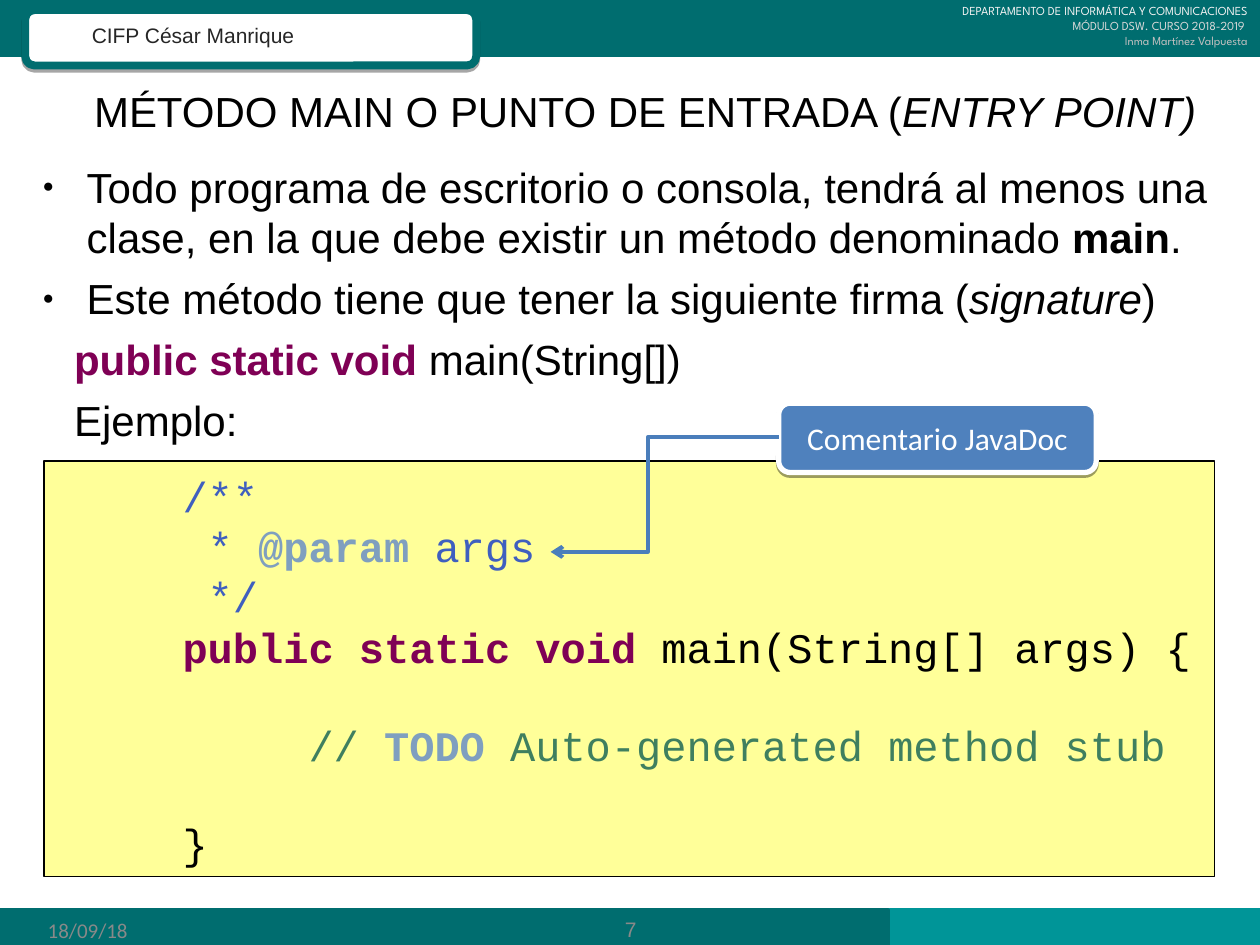
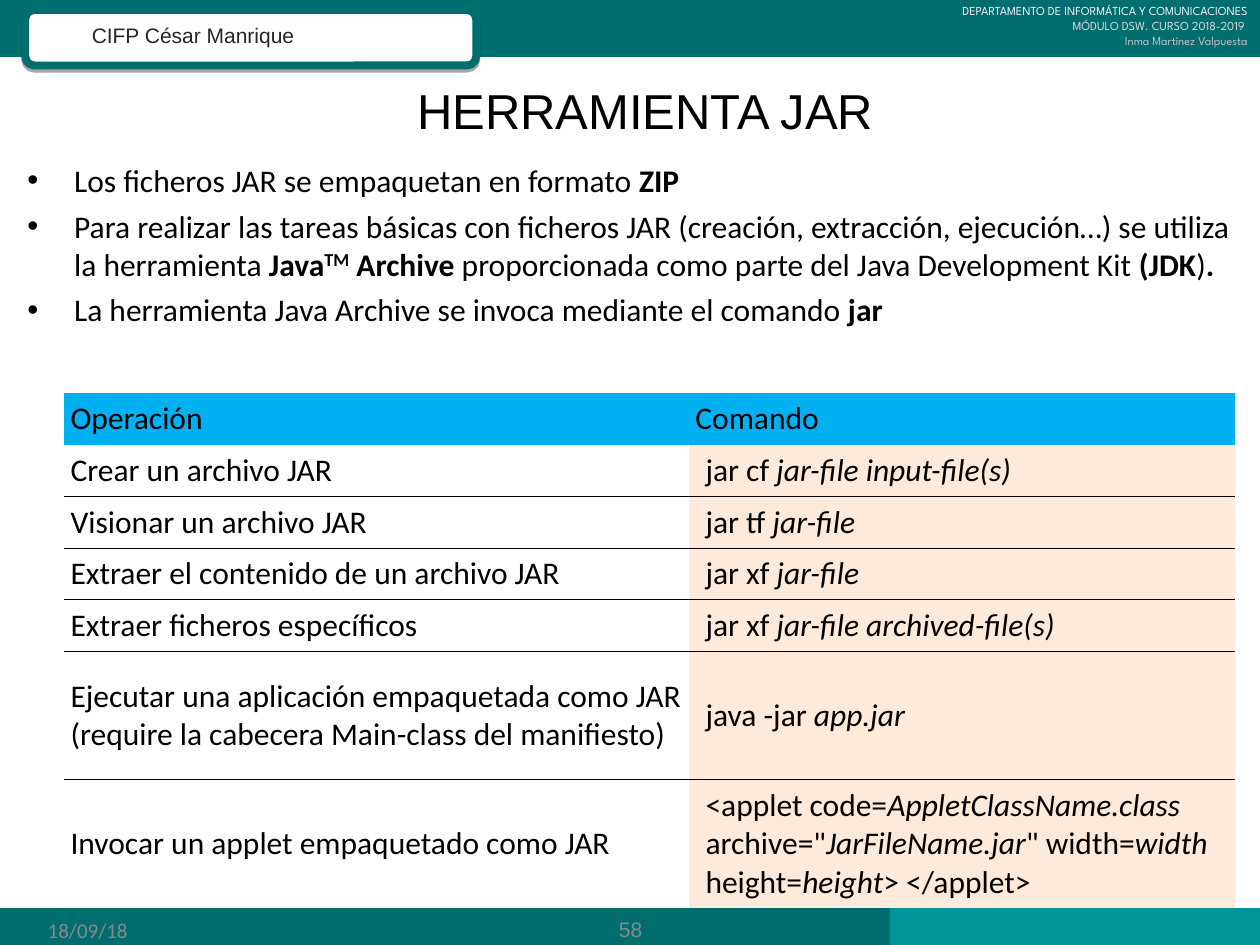
from pptx import Presentation
from pptx.dml.color import RGBColor
from pptx.enum.shapes import MSO_CONNECTOR, MSO_SHAPE
from pptx.enum.text import MSO_ANCHOR, PP_ALIGN
from pptx.oxml import parse_xml
from pptx.oxml.ns import nsdecls, qn
from pptx.util import Inches, Pt

WHITE = RGBColor(0xFF, 0xFF, 0xFF)
BLACK = RGBColor(0x00, 0x00, 0x00)
DARK_TEAL = RGBColor(0x00, 0x6D, 0x6F)
LIGHT_TEAL = RGBColor(0x00, 0x95, 0x98)
CHARCOAL = RGBColor(0x26, 0x26, 0x26)
HEADER_GRAYS = [RGBColor(0xF2, 0xF2, 0xF2), RGBColor(0xD9, 0xD9, 0xD9), RGBColor(0xBF, 0xBF, 0xBF)]
FOOTER_GRAY = RGBColor(0x89, 0x89, 0x89)
CODE_YELLOW = RGBColor(0xFF, 0xFF, 0x00)
KEYWORD = RGBColor(0x7F, 0x00, 0x55)
JAVADOC = RGBColor(0x3F, 0x5F, 0xBF)
TAG = RGBColor(0x7F, 0x9F, 0xBF)
COMMENT = RGBColor(0x3F, 0x7F, 0x5F)
CALLOUT_BLUE = RGBColor(0x4F, 0x81, 0xBD)
ARROW_BLUE = RGBColor(0x4A, 0x7E, 0xBB)
TABLE_BLUE = RGBColor(0x00, 0xB0, 0xF0)
PEACH = RGBColor(0xFD, 0xEA, 0xDA)
NO_STYLE = "{2D5ABB26-0587-4C30-8999-92F81FD0307C}"


def write(frame, lines, font, size, color=BLACK, align=PP_ALIGN.LEFT, anchor=MSO_ANCHOR.TOP):
    frame.word_wrap = True
    frame.vertical_anchor = anchor
    for index, line in enumerate(lines):
        paragraph = frame.paragraphs[0] if index == 0 else frame.add_paragraph()
        paragraph.alignment = align
        for text, style, run_color in line:
            run = paragraph.add_run()
            run.text = text
            run.font.name = font
            run.font.size = Pt(size)
            run.font.bold = "b" in style
            run.font.italic = "i" in style
            run.font.color.rgb = run_color or color
            if "^" in style:
                run.font._element.set("baseline", "30000")
    return frame.paragraphs


def add_panel(slide, kind, place, fill, line, width, shadow=None):
    shape = slide.shapes.add_shape(kind, *map(Inches, place))
    shape.shadow.inherit = False
    shape.fill.solid()
    shape.fill.fore_color.rgb = fill
    shape.line.color.rgb = line
    shape.line.width = Pt(width)
    if shadow:
        distance, opacity = shadow
        shape._element.spPr.find(qn("a:effectLst")).append(parse_xml(
            f'<a:outerShdw {nsdecls("a")} blurRad="0" dist="{Pt(distance)}" dir="5400000" rotWithShape="0">'
            f'<a:srgbClr val="000000"><a:alpha val="{opacity * 1000}"/></a:srgbClr></a:outerShdw>'))
    return shape


presentation = Presentation()
presentation.slide_width = Inches(10)
presentation.slide_height = Inches(7.5)

headings = [
    ([("MÉTODO MAIN O PUNTO DE ENTRADA (", "", None), ("ENTRY POINT)", "i", None)], 24, "7"),
    ([("HERRAMIENTA JAR", "", None)], 28, "58"),
]
department = ["DEPARTAMENTO DE INFORMÁTICA Y COMUNICACIONES", "MÓDULO DSW. CURSO 2018-2019 ",
              "Inma Martínez Valpuesta"]
bands = [((7.05, 7.22, 2.95, 0.28), LIGHT_TEAL), ((0, 7.22, 7.05, 0.28), DARK_TEAL),
         ((0, 0, 10, 0.44), DARK_TEAL)]

slides = []
for title, title_size, number in headings:
    slide = presentation.slides.add_slide(presentation.slide_layouts[6])
    slides.append(slide)
    for place, color in bands:
        add_panel(slide, MSO_SHAPE.RECTANGLE, place, color, color, 2)
    add_panel(slide, MSO_SHAPE.ROUNDED_RECTANGLE, (0.2, 0.08, 3.58, 0.44), WHITE, DARK_TEAL, 4.5, (1.8, 35))

    texts = [
        ((0.43, 0.13, 2.91, 0.3), [[("CIFP César Manrique", "", None)]], "Arial", 12, CHARCOAL,
         PP_ALIGN.LEFT, MSO_ANCHOR.TOP, 0.2),
        ((6.14, -0.02, 3.86, 0.45), [[(text, "", gray)] for text, gray in zip(department, HEADER_GRAYS)],
         "League Spartan", 7, WHITE, PP_ALIGN.RIGHT, MSO_ANCHOR.TOP, 0),
        ((0.12, 0.6, 9.76, 0.55), [title], "Arial", title_size, BLACK, PP_ALIGN.CENTER, MSO_ANCHOR.MIDDLE, 0.24),
        ((0.28, 7.24, 2.01, 0.29), [[("18/09/18", "", None)]], "Calibri", 12, FOOTER_GRAY,
         PP_ALIGN.LEFT, MSO_ANCHOR.MIDDLE, 0),
        ((3.42, 7.22, 3.17, 0.31), [[(number, "", None)]], "Arial", 12, FOOTER_GRAY,
         PP_ALIGN.CENTER, MSO_ANCHOR.MIDDLE, 0),
    ]
    for place, lines, font, size, color, align, anchor, left in texts:
        box = slide.shapes.add_textbox(*map(Inches, place))
        for paragraph in write(box.text_frame, lines, font, size, color, align, anchor):
            paragraph._p.get_or_add_pPr().set("marL", str(Inches(left)))

main_slide, jar_slide = slides

main_lines = [
    [("Todo programa de escritorio o consola, tendrá al menos una clase, en la que debe existir "
      "un método denominado ", "", None), ("main", "b", None), (".", "", None)],
    [("Este método tiene que tener la siguiente firma (", "", None), ("signature", "i", None), (")", "", None)],
    [("public static void", "b", KEYWORD), (" main(String[])", "", None)],
    [("Ejemplo:", "", None)],
]
jar_lines = [
    [("Los ficheros JAR se empaquetan en formato ", "", None), ("ZIP", "b", None)],
    [("Para realizar las tareas básicas con ficheros JAR (creación, extracción, ejecución…) "
      "se utiliza la herramienta ", "", None), ("Java", "b", None), ("TM", "b^", None),
     (" Archive", "b", None), (" proporcionada como parte del Java Development Kit ", "", None),
     ("(JDK", "b", None), (")", "", None), (".", "b", None)],
    [("La herramienta Java Archive se invoca mediante el comando ", "", None), ("jar", "b", None)],
]
bodies = [
    (main_slide, main_lines, "Arial", 24, 6, 2, "●", 45, 0.47, -0.35),
    (jar_slide, jar_lines, "Calibri", 18, 4.5, 3, "•", 100, 0.37, -0.37),
]
for slide, lines, font, size, before, bulleted, bullet, bullet_size, left, hanging in bodies:
    box = slide.shapes.add_textbox(Inches(0.12), Inches(1.23), Inches(9.76), Inches(5.83))
    for index, paragraph in enumerate(write(box.text_frame, lines, font, size)):
        paragraph.space_before = Pt(before)
        properties = paragraph._p.get_or_add_pPr()
        if index >= bulleted:
            properties.set("marL", str(Inches(0.37)))
            continue
        properties.set("marL", str(Inches(left)))
        properties.set("indent", str(Inches(hanging)))
        for tag in [f'<a:buClr {nsdecls("a")}><a:srgbClr val="000000"/></a:buClr>',
                    f'<a:buSzPct {nsdecls("a")} val="{bullet_size * 1000}"/>',
                    f'<a:buFont {nsdecls("a")} typeface="Arial"/>',
                    f'<a:buChar {nsdecls("a")} char="{bullet}"/>']:
            properties.append(parse_xml(tag))

code_lines = [
    (1, 0, [("/**", "", JAVADOC)]),
    (1, 0, [(" * ", "", JAVADOC), ("@param", "b", TAG), (" args", "", JAVADOC)]),
    (1, 0, [(" */", "", JAVADOC)]),
    (1, 0, [("public static void", "b", KEYWORD), (" main(String[] args) {", "", None)]),
    (2, 27.2, [("// ", "", COMMENT), ("TODO", "b", TAG), (" Auto-generated method stub", "", COMMENT)]),
    (1, 27.2, [("}", "", None)]),
]
code_panel = add_panel(main_slide, MSO_SHAPE.RECTANGLE, (0.35, 3.66, 9.29, 3.3), CODE_YELLOW, BLACK, 0.75)
fill_color = code_panel._element.spPr.find(qn("a:solidFill")).find(qn("a:srgbClr"))
fill_color.append(parse_xml(f'<a:alpha {nsdecls("a")} val="40000"/>'))
code_paragraphs = write(code_panel.text_frame, [line for _, _, line in code_lines], "Courier New", 24,
                        anchor=MSO_ANCHOR.MIDDLE)
for paragraph, (left, before, _) in zip(code_paragraphs, code_lines):
    paragraph.space_before = Pt(before)
    paragraph._p.get_or_add_pPr().set("marL", str(Inches(left)))

callout = add_panel(main_slide, MSO_SHAPE.ROUNDED_RECTANGLE, (6.18, 3.2, 2.52, 0.55), CALLOUT_BLUE, WHITE, 3,
                    (1.6, 38))
write(callout.text_frame, [[("Comentario JavaDoc", "", None)]], "Calibri", 18, WHITE,
      PP_ALIGN.CENTER, MSO_ANCHOR.MIDDLE)

arrow = main_slide.shapes.add_connector(MSO_CONNECTOR.ELBOW, Inches(6.18), Inches(3.47), Inches(4.37), Inches(4.38))
arrow.line.color.rgb = ARROW_BLUE
arrow.line.width = Pt(2.25)
arrow_properties = arrow._element.spPr
arrow_properties.find(qn("a:ln")).append(parse_xml(f'<a:tailEnd {nsdecls("a")} type="arrow"/>'))
arrow_properties.append(parse_xml(f'<a:effectLst {nsdecls("a")}/>'))
arrow_properties.find(qn("a:prstGeom")).find(qn("a:avLst")).append(
    parse_xml(f'<a:gd {nsdecls("a")} name="adj1" fmla="val 57400"/>'))

operations = [
    (["Operación"], [("Comando", "", None)]),
    (["Crear un archivo JAR"], [("jar cf ", "", None), ("jar-file input-file(s)", "i", None)]),
    (["Visionar un archivo JAR"], [("jar tf ", "", None), ("jar-file", "i", None)]),
    (["Extraer el contenido de un archivo JAR"], [("jar xf ", "", None), ("jar-file", "i", None)]),
    (["Extraer ficheros específicos"], [("jar xf ", "", None), ("jar-file archived-file(s)", "i", None)]),
    (["Ejecutar una aplicación empaquetada como JAR", "(require la cabecera Main-class del manifiesto)"],
     [("java -jar ", "", None), ("app.jar", "i", None)]),
    (["Invocar un applet empaquetado como JAR"],
     [("<applet code=", "", None), ("AppletClassName.class", "i", None), (' archive="', "", None),
      ("JarFileName.jar", "i", None), ('" width=', "", None), ("width", "i", None),
      (" height=", "", None), ("height", "i", None), ("> </applet>", "", None)]),
]
last_row = len(operations) - 1
table_frame = jar_slide.shapes.add_table(len(operations), 2, Inches(0.51), Inches(3.12), Inches(9.29), Inches(4.09))
table = table_frame.table
table.first_row = False
table.horz_banding = False
table._tbl.tblPr.find(qn("a:tableStyleId")).text = NO_STYLE
for column, width in zip(table.columns, (4.96, 4.33)):
    column.width = Inches(width)

for row, (operation, command) in enumerate(operations):
    table.rows[row].height = Inches(0.41 if row < 5 else 1.02)
    for column, lines in enumerate([[[(text, "", None)] for text in operation], [command]]):
        cell = table.cell(row, column)
        cell.margin_left = cell.margin_right = cell.margin_top = cell.margin_bottom = Inches(0.05)
        cell.vertical_anchor = MSO_ANCHOR.MIDDLE
        paragraphs = write(cell.text_frame, lines, "Calibri", 18)
        if row == 0 or column == 1:
            cell.fill.solid()
            cell.fill.fore_color.rgb = TABLE_BLUE if row == 0 else PEACH
        else:
            cell.fill.background()
        if row > 0 and column == 1:
            paragraphs[0]._p.get_or_add_pPr().set("marL", str(Inches(0.08)))
        for side, bordered in (("lnB", 0 < row < last_row), ("lnT", row > 1)):
            if bordered:
                cell._tc.get_or_add_tcPr().insert(0, parse_xml(
                    f'<a:{side} {nsdecls("a")} w="{Pt(0.45)}"><a:solidFill><a:srgbClr val="000000"/>'
                    f'</a:solidFill></a:{side}>'))

presentation.save("out.pptx")
